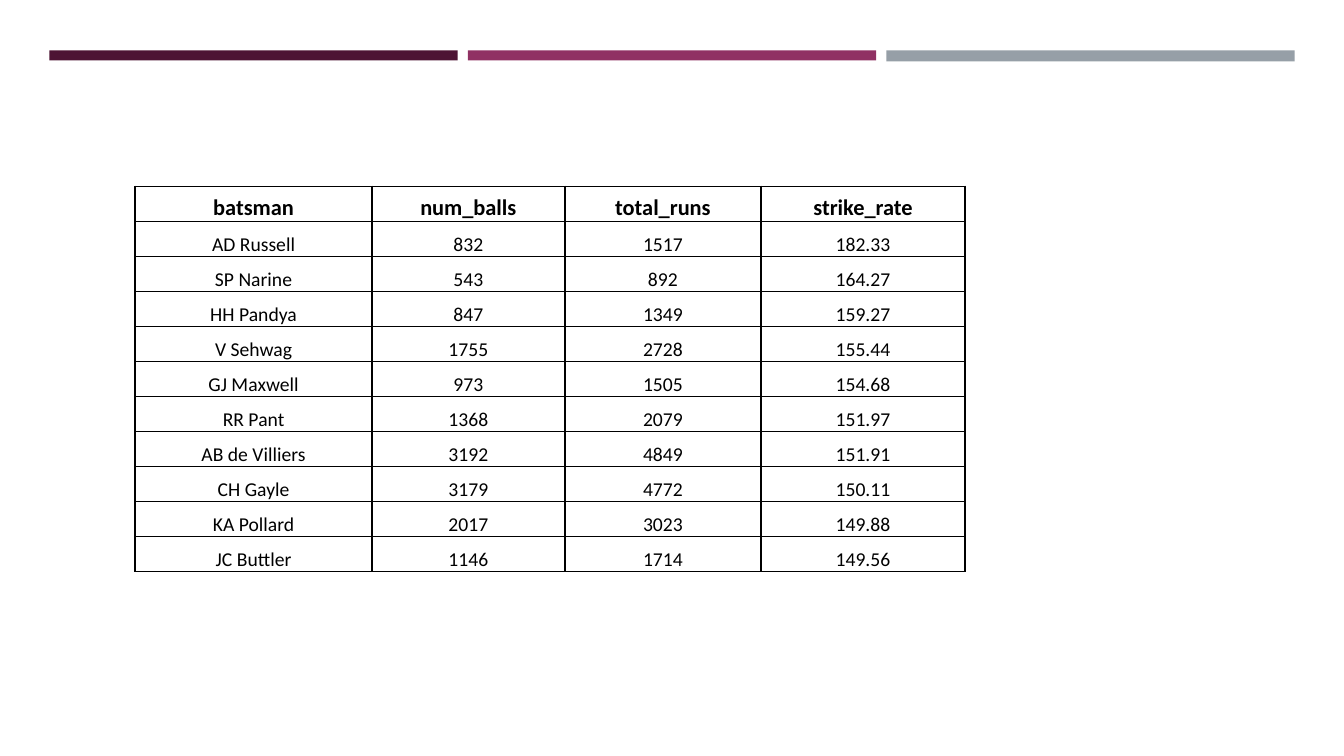
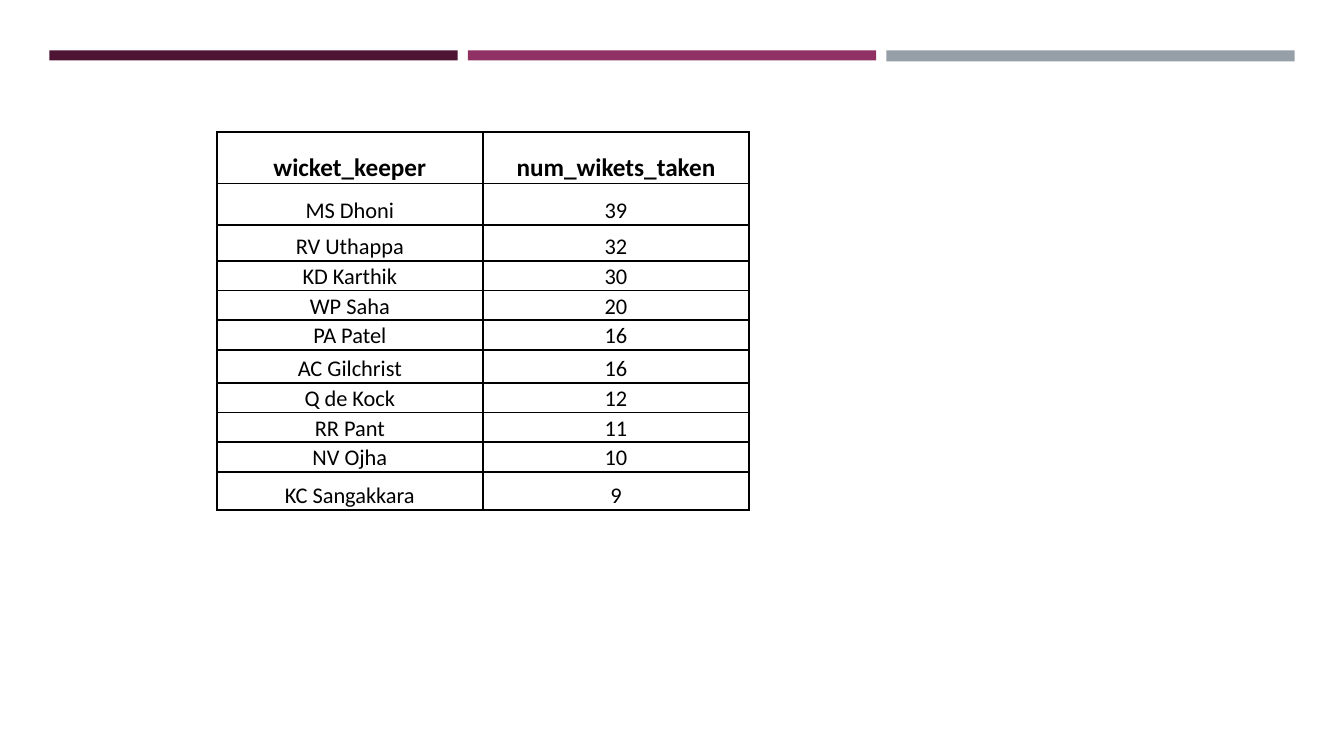
from lxml import etree
from pptx import Presentation
from pptx.dml.color import RGBColor
from pptx.enum import shapes, text
from pptx.oxml import ns
from pptx.util import Inches, Pt

COLORS = {"plum": "4D1434", "magenta": "903163", "grey": "969FA7", "black": "000000"}
FONT = "Calibri"
BORDER = Pt(1.5)
BANDS = [("plum", 0.1), ("magenta", 0.1), ("grey", 0.11)]

TABLES = [
    {
        "left": 1.34, "top": 1.85, "height": 3.82, "header_size": 16, "body_size": 14,
        "columns": [2.35, 1.91, 1.95, 2.02],
        "tall_rows": {},
        "rows": [
            ("batsman", "num_balls", "total_runs", "strike_rate"),
            ("AD Russell", "832", "1517", "182.33"),
            ("SP Narine", "543", "892", "164.27"),
            ("HH Pandya", "847", "1349", "159.27"),
            ("V Sehwag", "1755", "2728", "155.44"),
            ("GJ Maxwell", "973", "1505", "154.68"),
            ("RR Pant", "1368", "2079", "151.97"),
            ("AB de Villiers", "3192", "4849", "151.91"),
            ("CH Gayle", "3179", "4772", "150.11"),
            ("KA Pollard", "2017", "3023", "149.88"),
            ("JC Buttler", "1146", "1714", "149.56"),
        ],
    },
    {
        "left": 2.15, "top": 1.31, "height": 3.75, "header_size": 18, "body_size": 16,
        "columns": [2.64, 2.64],
        "tall_rows": {0: 0.51, 1: 0.41, 2: 0.36, 6: 0.33, 10: 0.38},
        "rows": [
            ("wicket_keeper", "num_wikets_taken"),
            ("MS Dhoni", "39"),
            ("RV Uthappa", "32"),
            ("KD Karthik", "30"),
            ("WP Saha", "20"),
            ("PA Patel", "16"),
            ("AC Gilchrist", "16"),
            ("Q de Kock", "12"),
            ("RR Pant", "11"),
            ("NV Ojha", "10"),
            ("KC Sangakkara", "9"),
        ],
    },
]


def add_borders(cell):
    properties = cell._tc.get_or_add_tcPr()
    for side in ("a:lnL", "a:lnR", "a:lnT", "a:lnB"):
        line = etree.SubElement(properties, ns.qn(side), w=str(BORDER))
        fill = etree.SubElement(line, ns.qn("a:solidFill"))
        etree.SubElement(fill, ns.qn("a:srgbClr"), val=COLORS["black"])


def fill_cell(cell, content, size, bold):
    cell.text = content
    cell.vertical_anchor = text.MSO_ANCHOR.BOTTOM
    cell.margin_left = cell.margin_right = cell.margin_top = Inches(0.01)
    cell.margin_bottom = 0
    add_borders(cell)
    cell.fill.background()
    paragraph = cell.text_frame.paragraphs[0]
    paragraph.alignment = text.PP_ALIGN.CENTER
    paragraph.font.name = FONT
    paragraph.font.size = Pt(size)
    paragraph.font.bold = bold
    paragraph.font.color.rgb = RGBColor.from_string(COLORS["black"])


presentation = Presentation()
presentation.slide_width = Inches(13.33)
presentation.slide_height = Inches(7.5)
blank_layout = presentation.slide_layouts[6]

for data in TABLES:
    slide = presentation.slides.add_slide(blank_layout)
    for index, (color, height) in enumerate(BANDS):
        band = slide.shapes.add_shape(
            shapes.MSO_SHAPE.RECTANGLE,
            Inches(0.49 + index * 4.15), Inches(0.5), Inches(4.05), Inches(height),
        )
        band.shadow.inherit = False
        band.fill.solid()
        band.fill.fore_color.rgb = RGBColor.from_string(COLORS[color])
        band.line.fill.background()

    tall_rows = data["tall_rows"]
    plain_count = len(data["rows"]) - len(tall_rows)
    plain_height = (data["height"] - sum(tall_rows.values())) / plain_count
    table = slide.shapes.add_table(
        len(data["rows"]), len(data["columns"]),
        Inches(data["left"]), Inches(data["top"]),
        Inches(sum(data["columns"])), Inches(data["height"]),
    ).table
    table.horz_banding = False
    for column, width in zip(table.columns, data["columns"]):
        column.width = Inches(width)
    for row_index, values in enumerate(data["rows"]):
        row = table.rows[row_index]
        row.height = Inches(tall_rows.get(row_index, plain_height))
        is_header = row_index == 0
        size = data["header_size"] if is_header else data["body_size"]
        for cell, value in zip(row.cells, values):
            fill_cell(cell, value, size, is_header)

presentation.save("out.pptx")
